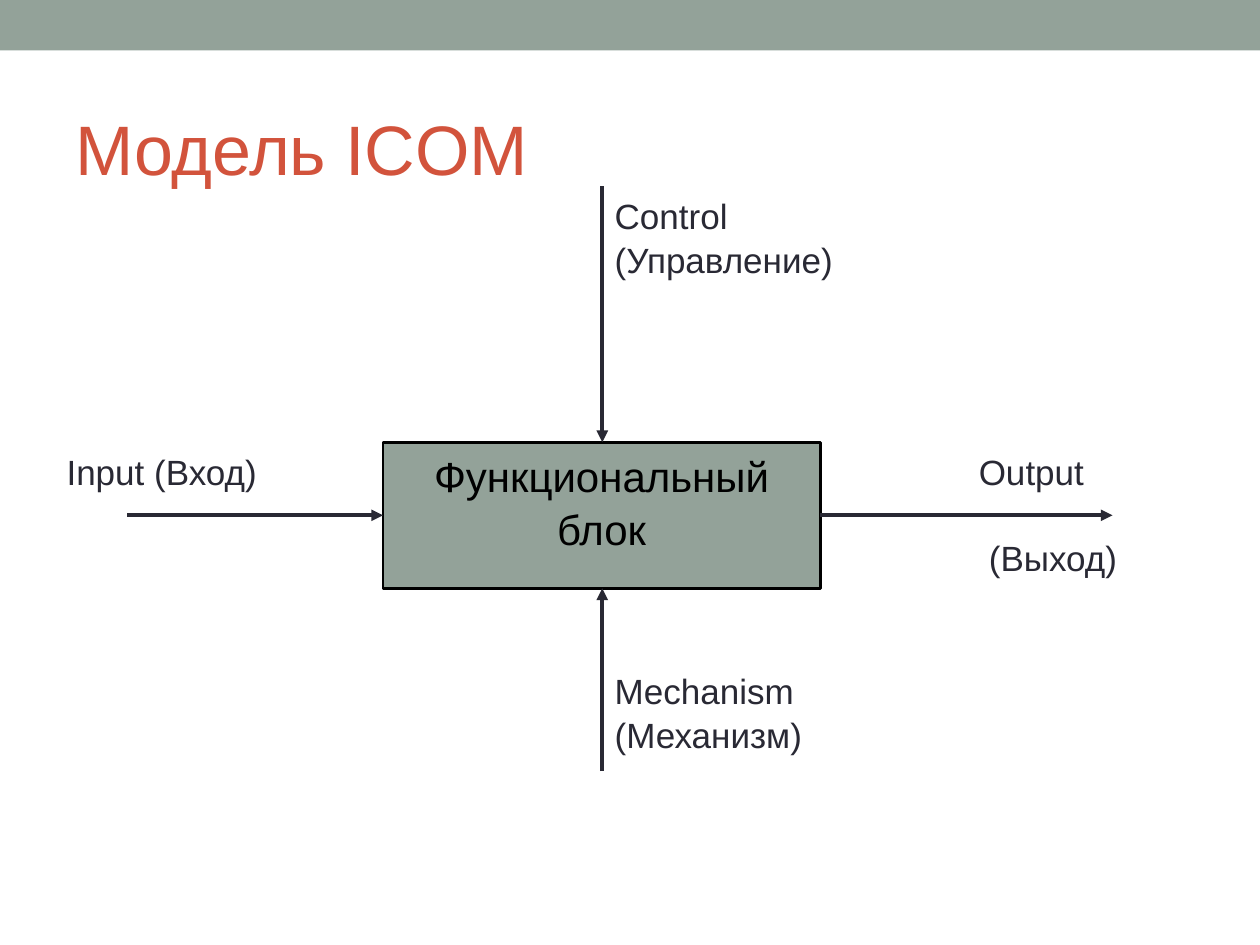
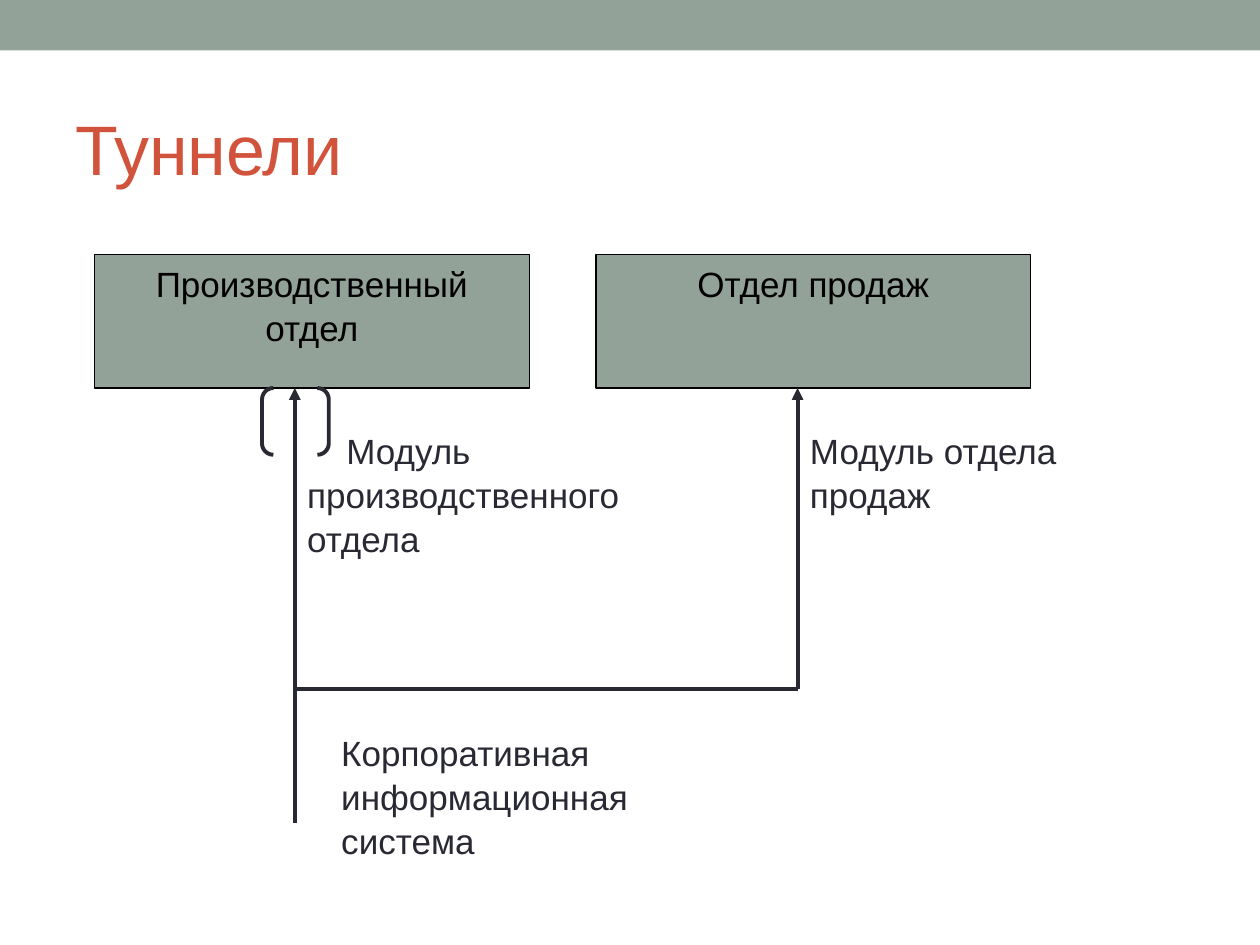
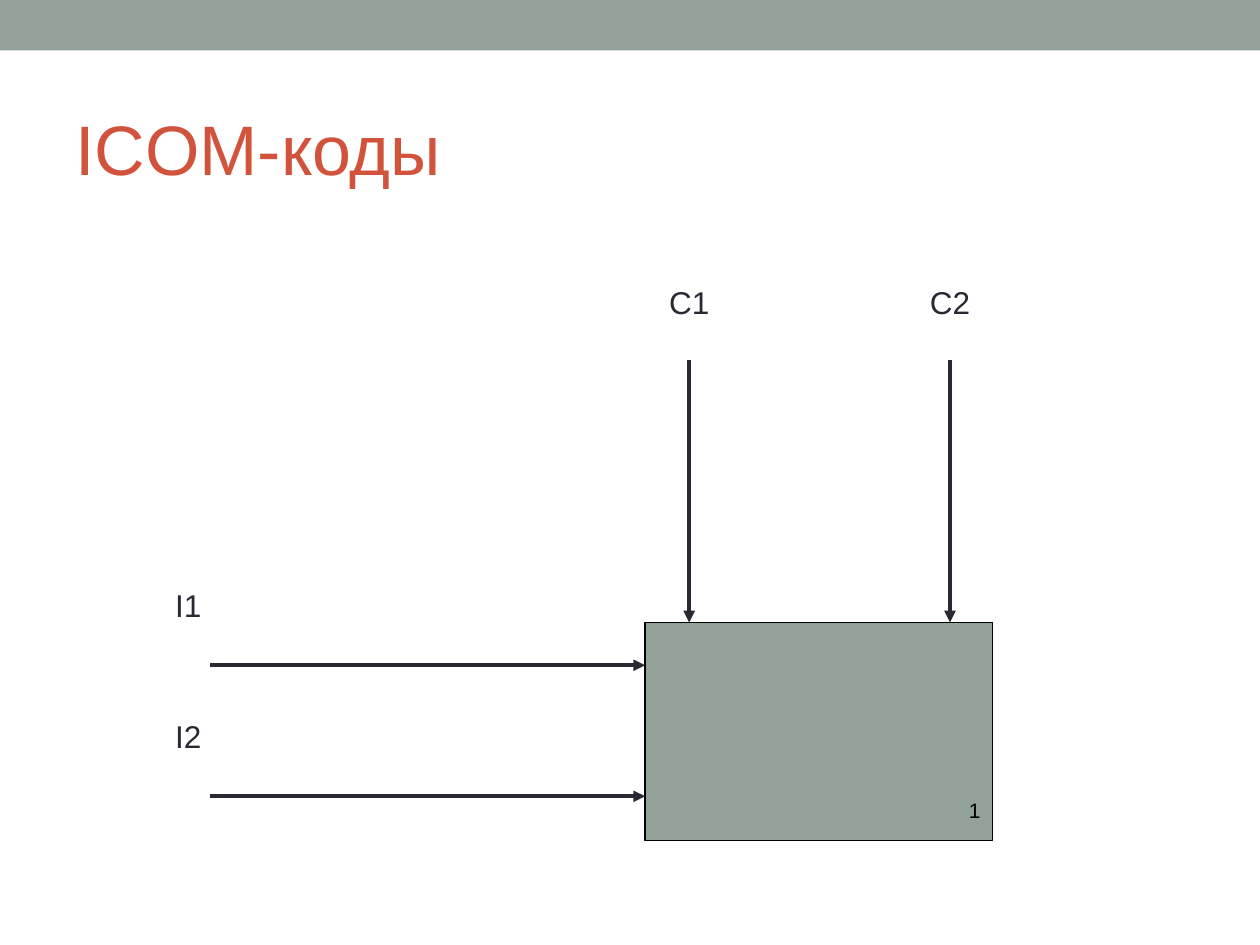
from lxml import etree
from pptx import Presentation
from pptx.dml.color import RGBColor
from pptx.enum.shapes import MSO_CONNECTOR, MSO_SHAPE
from pptx.enum.text import MSO_ANCHOR, PP_ALIGN
from pptx.oxml.ns import qn
from pptx.util import Inches, Pt

SAGE = RGBColor(0x93, 0xA2, 0x99)
BRICK = RGBColor(0xD2, 0x53, 0x3C)
INK = RGBColor(0x29, 0x29, 0x34)
BLACK = RGBColor(0, 0, 0)
FONT = "Arial"
LINE_SPACING = 1.05
ARROW_WIDTH = 2.25


class DiagramDeck:
    """Holds the presentation, its style and the current slide."""

    def __init__(self):
        self.presentation = Presentation()
        self.presentation.slide_width = Inches(10)
        self.presentation.slide_height = Inches(7.5)
        self.slide = None

    def new_slide(self, title):
        self.slide = self.presentation.slides.add_slide(
            self.presentation.slide_layouts[6])
        self.shape(MSO_SHAPE.RECTANGLE, 0, 0, 10, 0.4, fill=SAGE)
        box = self.label(title, 0.5, 0.58, 9, 1.08, size=40, color=BRICK)
        box.text_frame.vertical_anchor = MSO_ANCHOR.MIDDLE
        box.text_frame.margin_top = Inches(0.12)

    def shape(self, kind, left, top, width, height,
              fill=None, line=None, line_width=0.75):
        shape = self.slide.shapes.add_shape(
            kind, Inches(left), Inches(top), Inches(width), Inches(height))
        shape.shadow.inherit = False
        if fill is None:
            shape.fill.background()
        else:
            shape.fill.solid()
            shape.fill.fore_color.rgb = fill
        if line is None:
            shape.line.fill.background()
        else:
            shape.line.color.rgb = line
            shape.line.width = Pt(line_width)
        return shape

    def add_text(self, frame, text, size, color, align, indent=0, before=0):
        """Fill the first paragraph, or add one after text already there."""
        paragraph = frame.paragraphs[0]
        if paragraph.runs:
            paragraph = frame.add_paragraph()
            paragraph.space_before = Pt(before)
        paragraph.alignment = align
        paragraph.line_spacing = LINE_SPACING
        if indent:
            paragraph._p.get_or_add_pPr().set("indent", str(Inches(indent)))
        run = paragraph.add_run()
        run.text = text
        run.font.name = FONT
        run.font.size = Pt(size)
        run.font.color.rgb = color

    def block(self, text, left, top, width, height, size=20,
              align=PP_ALIGN.CENTER, anchor=MSO_ANCHOR.TOP, line_width=0.75):
        shape = self.shape(MSO_SHAPE.RECTANGLE, left, top, width, height,
                           SAGE, BLACK, line_width)
        shape.text_frame.word_wrap = True
        shape.text_frame.vertical_anchor = anchor
        self.add_text(shape.text_frame, text, size, BLACK, align)
        return shape

    def label(self, text, left, top, width, height, size=20, color=INK,
              align=PP_ALIGN.LEFT, indent=0):
        box = self.slide.shapes.add_textbox(
            Inches(left), Inches(top), Inches(width), Inches(height))
        box.text_frame.word_wrap = True
        self.add_text(box.text_frame, text, size, color, align, indent)
        return box

    def line(self, x1, y1, x2, y2, arrow=True):
        connector = self.slide.shapes.add_connector(
            MSO_CONNECTOR.STRAIGHT,
            Inches(x1), Inches(y1), Inches(x2), Inches(y2))
        connector.line.color.rgb = INK
        connector.line.width = Pt(ARROW_WIDTH)
        if arrow:
            etree.SubElement(connector.line._get_or_add_ln(),
                             qn("a:tailEnd"), type="triangle")
        etree.SubElement(connector._element.spPr, qn("a:effectLst"))


def icom_model(deck):
    deck.new_slide("Модель ICOM")
    left, top, width, height = 3.04, 3.51, 3.47, 1.16
    right, bottom = left + width, top + height
    center_x, center_y = 4.78, 4.09
    deck.block("Функциональный блок", left, top, width, height,
               size=24, line_width=1.5)

    # Arrows on the four sides
    deck.line(1.01, center_y, left, center_y)
    deck.line(center_x, 1.48, center_x, top)
    deck.line(right, center_y, 8.83, center_y)
    deck.line(center_x, 6.12, center_x, bottom)

    # Arrow names
    deck.label("Input (Вход)", 0.43, top, 2.02, height)
    deck.label("Control (Управление)", center_x, 1.48, 2.85, height)
    deck.label("Mechanism (Механизм)", center_x, 5.25, 2.6, height)
    output = deck.label("Output", 7.67, top, 1.74, height)
    deck.add_text(output.text_frame, "(Выход)", 20, INK, PP_ALIGN.LEFT,
                  indent=0.08, before=24)


def tunnels(deck):
    deck.new_slide("Туннели")
    block_bottom, branch_y = 3.08, 5.47
    production_x, sales_x = 2.34, 6.33
    for text, left in (("Производственный отдел", 0.75),
                       ("Отдел продаж", 4.73)):
        deck.block(text, left, 2.02, 3.45, 1.06)

    # Trunk and its branch
    deck.line(production_x, 6.53, production_x, block_bottom)
    deck.line(production_x, branch_y, sales_x, branch_y, arrow=False)
    deck.line(sales_x, branch_y, sales_x, block_bottom)

    # Arrow names
    deck.label("Модуль производственного отдела",
               production_x, 3.34, 3.46, 1.59, indent=0.31)
    deck.label("Модуль отдела продаж", sales_x, 3.34, 2.92, 1.59)
    deck.label("Корпоративная информационная система",
               2.61, 5.74, 3.19, 1.59)

    # Tunnel brackets
    tunnel = deck.shape(MSO_SHAPE.DOUBLE_BRACKET, 2.08, block_bottom,
                        0.53, 0.53, line=INK, line_width=ARROW_WIDTH)
    tunnel.adjustments[0] = 0.17


def icom_codes(deck):
    deck.new_slide("ICOM-коды")
    left, top = 5.12, 4.94
    block = deck.block("1", left, top, 2.76, 1.73, size=12,
                       align=PP_ALIGN.RIGHT, anchor=MSO_ANCHOR.BOTTOM)
    block.text_frame.margin_bottom = Inches(0.14)

    # Inputs from the left, controls from above
    for code, y in (("I1", 5.28), ("I2", 6.32)):
        deck.line(1.67, y, left, y)
        deck.label(code, 0.98, y - 0.69, 1.03, 1.03, size=18,
                   align=PP_ALIGN.CENTER)
    for code, x in (("C1", 5.47), ("C2", 7.54)):
        deck.line(x, 2.86, x, top)
        deck.label(code, x - 0.69, 2.18, 1.38, 1.03, size=18,
                   align=PP_ALIGN.CENTER)


def main():
    deck = DiagramDeck()
    icom_model(deck)
    tunnels(deck)
    icom_codes(deck)
    deck.presentation.save("out.pptx")


if __name__ == "__main__":
    main()
